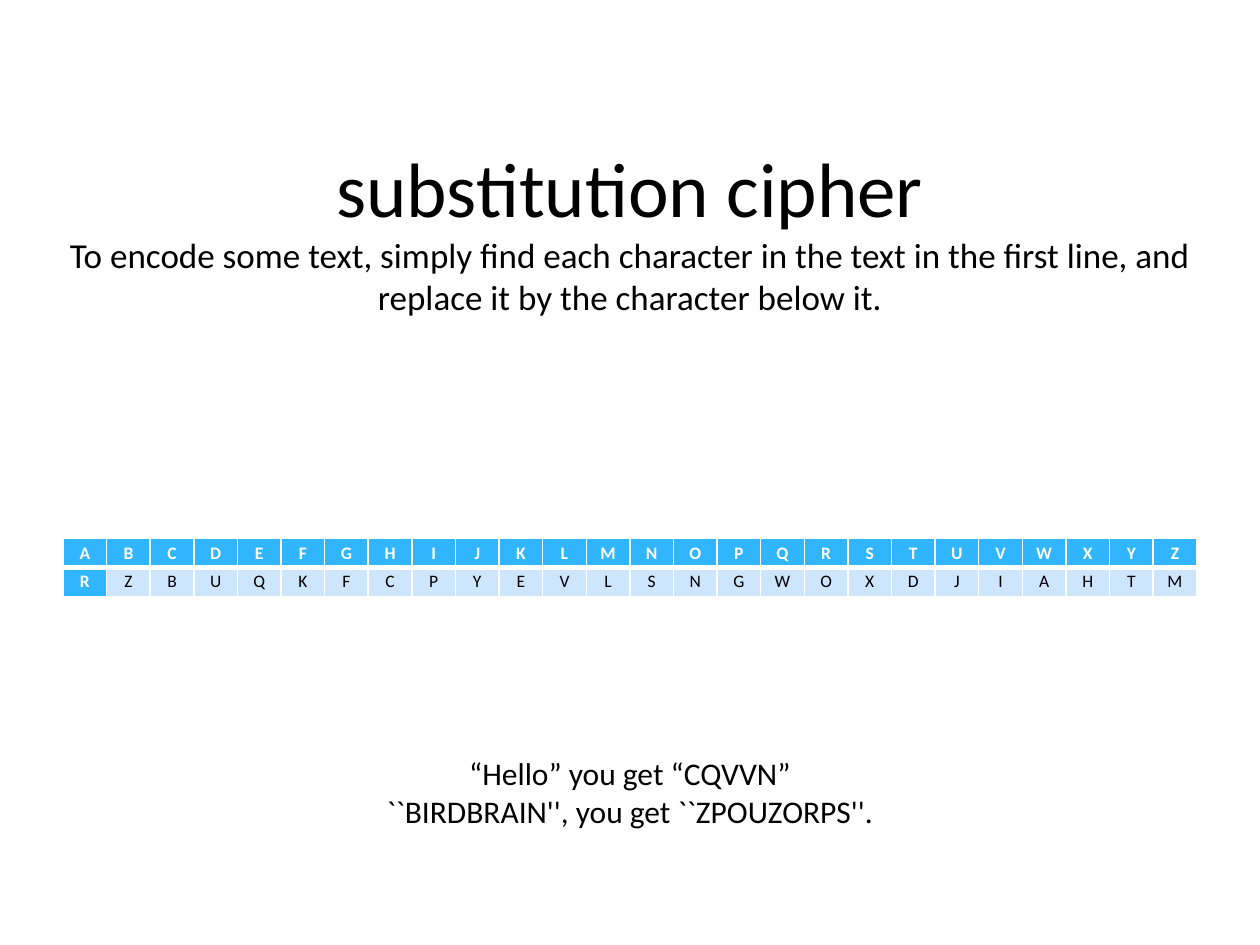
from lxml import etree
from pptx import Presentation, util as u
from pptx.dml.color import RGBColor
from pptx.enum import shapes, text
from pptx.oxml.ns import qn

WIDTH, HEIGHT = 10, 7.5
FONT = "Calibri"
BLACK, WHITE, BLUE, PALE = "000000", "FFFFFF", "31B6FD", "CEE5FE"
PLAIN = "ABCDEFGHIJKLMNOPQRSTUVWXYZ"
CODED = "RZBUQKFCPYEVLSNGWOXDJIAHTM"


def color(value):
    return RGBColor.from_string(value)


def share(left, top, width, height):
    """Turn shares of the slide's size into lengths."""
    return (u.Inches(left * WIDTH), u.Inches(top * HEIGHT),
            u.Inches(width * WIDTH), u.Inches(height * HEIGHT))


def add_run(paragraph, words, size, ink=BLACK, bold=False):
    run = paragraph.add_run()
    run.text = words
    run.font.name, run.font.size, run.font.bold = FONT, u.Pt(size), bold
    run.font.color.rgb = color(ink)


def add_lines(frame, lines):
    """Centre the lines in one paragraph, with a break between them."""
    frame.word_wrap = True
    paragraph = frame.paragraphs[0]
    paragraph.alignment = text.PP_ALIGN.CENTER
    for index, (words, size) in enumerate(lines):
        if index:
            paragraph.add_line_break()
        add_run(paragraph, words, size)


def add_heading(slide, box):
    shape = slide.shapes.add_shape(shapes.MSO_SHAPE.RECTANGLE, *box)
    shape.shadow.inherit = False
    shape.fill.solid()
    shape.fill.fore_color.rgb = color(WHITE)
    shape.line.color.rgb = color(WHITE)
    shape.line.width = u.Pt(2)
    frame = shape.text_frame
    frame.vertical_anchor = text.MSO_ANCHOR.MIDDLE
    frame.margin_bottom = u.Inches(0.39)
    add_lines(frame, [
        ("substitution cipher", 44),
        ("To encode some text, simply find each character in the text in the "
         "first line, and replace it by the character below it.", 20)])


def set_borders(cell, bottom_width):
    properties = cell._tc.get_or_add_tcPr()
    widths = {"a:lnL": 1, "a:lnR": 1, "a:lnT": 1, "a:lnB": bottom_width}
    for position, (tag, width) in enumerate(widths.items()):
        line = etree.Element(qn(tag), w=str(u.Pt(width)))
        fill = etree.SubElement(line, qn("a:solidFill"))
        etree.SubElement(fill, qn("a:srgbClr"), val=WHITE)
        properties.insert(position, line)


def fill_cell(cell, letter, is_header, bottom_width):
    cell.fill.solid()
    cell.fill.fore_color.rgb = color(BLUE if is_header else PALE)
    cell.vertical_anchor = text.MSO_ANCHOR.MIDDLE
    cell.margin_left = cell.margin_right = u.Inches(0.03)
    cell.margin_top = cell.margin_bottom = u.Inches(0.03)
    paragraph = cell.text_frame.paragraphs[0]
    paragraph.alignment = text.PP_ALIGN.CENTER
    add_run(paragraph, letter, 10, WHITE if is_header else BLACK, is_header)
    set_borders(cell, bottom_width)


def add_cipher_table(slide, box):
    rows = [PLAIN, CODED]
    table = slide.shapes.add_table(len(rows), len(PLAIN), *box).table
    for column in table.columns:
        column.width = box[2] // len(PLAIN)
    for row, letters in enumerate(rows):
        table.rows[row].height = box[3] // len(rows)
        for column, letter in enumerate(letters):
            # The top row and the first column are headers
            fill_cell(table.cell(row, column), letter,
                      row == 0 or column == 0, 3 if row == 0 else 1)


def add_examples(slide, box):
    frame = slide.shapes.add_textbox(*box).text_frame
    frame.margin_top = u.Inches(0.66)
    add_lines(frame, [("“Hello” you get “CQVVN”", 18),
                      ("``BIRDBRAIN'', you get ``ZPOUZORPS''.", 18)])


def main():
    presentation = Presentation()
    presentation.slide_width = u.Inches(WIDTH)
    presentation.slide_height = u.Inches(HEIGHT)
    slide = presentation.slides.add_slide(presentation.slide_layouts[6])
    add_heading(slide, share(0.037, 0.04, 0.926, 0.45))
    add_cipher_table(slide, share(0.05, 0.57, 0.9, 0.06))
    add_examples(slide, share(0.25, 0.71, 0.5, 0.17))
    presentation.save("out.pptx")


if __name__ == "__main__":
    main()
